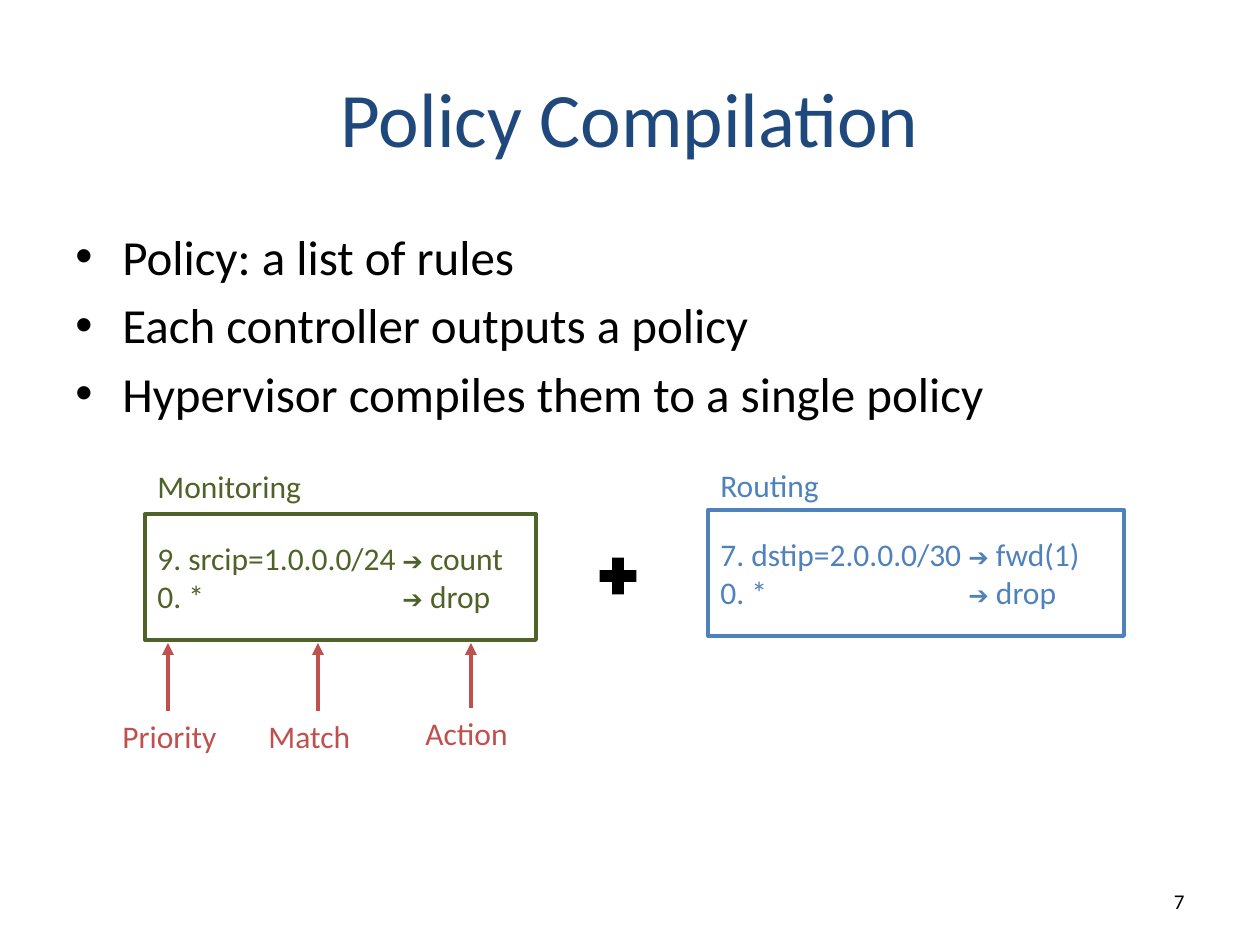
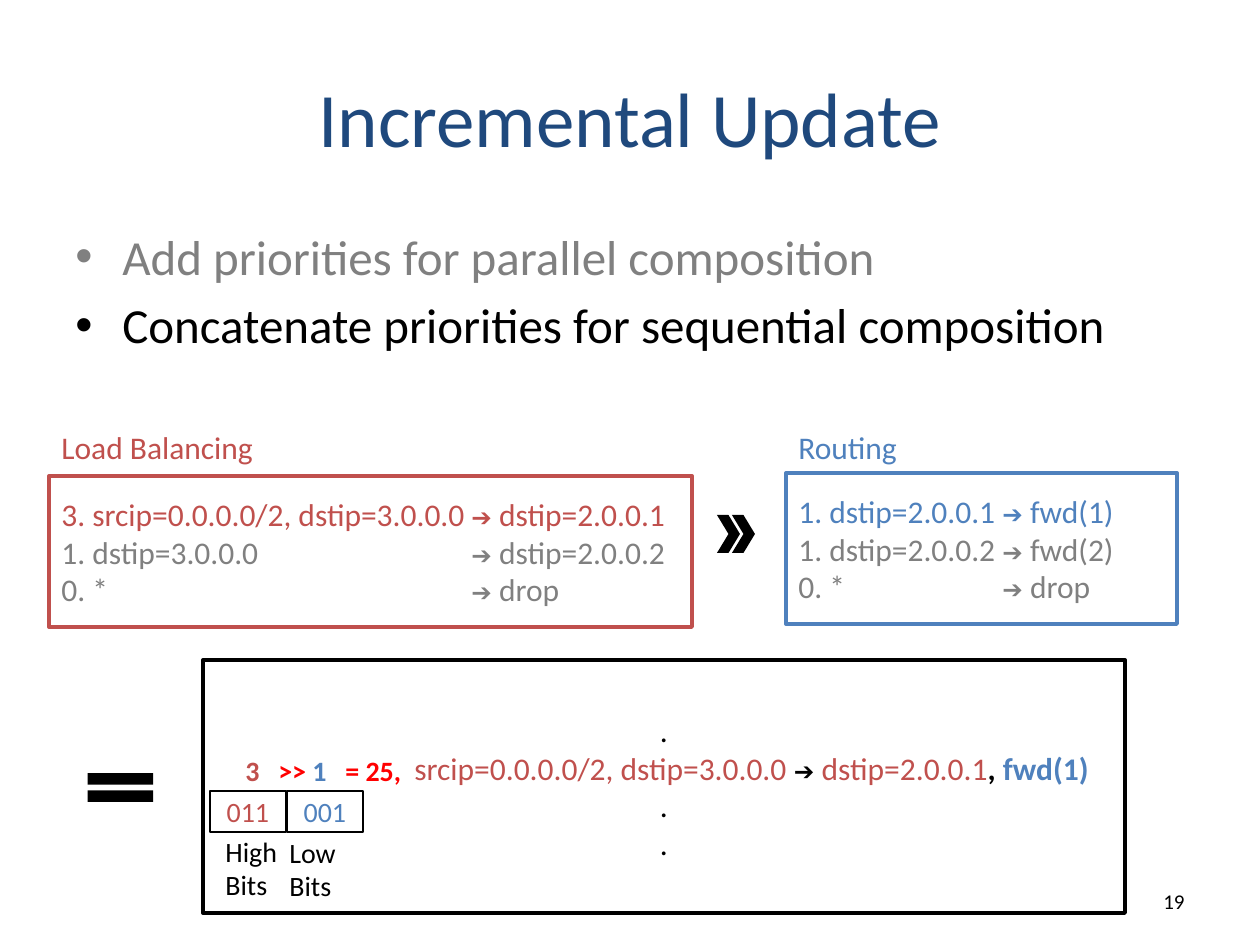
from lxml.etree import SubElement
from pptx import Presentation
from pptx.dml.color import RGBColor
from pptx.enum.shapes import MSO_CONNECTOR, MSO_SHAPE
from pptx.enum.text import MSO_ANCHOR, PP_ALIGN
from pptx.oxml.ns import qn
from pptx.util import Inches, Pt

PX = Inches(1) / 126
FONT, SYMBOL_FONT = "Calibri", "Arial"
ARROW = "➔"

NAVY = RGBColor(0x1F, 0x49, 0x7D)
BLUE = RGBColor(0x4F, 0x81, 0xBD)
GREEN = RGBColor(0x4F, 0x62, 0x28)
BRICK = RGBColor(0xC0, 0x50, 0x4D)
RED = RGBColor(0xFF, 0, 0)
GRAY = RGBColor(0x80, 0x80, 0x80)
BLACK = RGBColor(0, 0, 0)
WHITE = RGBColor(0xFF, 0xFF, 0xFF)

TITLE_AREA = (63, 38, 1134, 157)
BULLET_AREA = (63, 220, 1134, 624)
NUMBER_AREA = (903, 876, 294, 50)
BULLET_INDENT = 47

COMPILATION = {
    "title": "Policy Compilation",
    "number": "7",
    "bullets": [
        ("Policy: a list of rules", BLACK),
        ("Each controller outputs a policy", BLACK),
        ("Hypervisor compiles them to a single policy", BLACK),
    ],
    "policies": [
        {"name": "Monitoring", "colour": GREEN, "area": (145, 514, 391, 126),
         "label_top": 461, "action_tab": 245,
         "rules": [("9. srcip=1.0.0.0/24", "count", GREEN), ("0. *", "drop", GREEN)]},
        {"name": "Routing", "colour": BLUE, "area": (708, 510, 416, 126),
         "label_top": 460, "action_tab": 248,
         "rules": [("7. dstip=2.0.0.0/30", "fwd(1)", BLUE), ("0. *", "drop", BLUE)]},
    ],
    "operators": [(MSO_SHAPE.MATH_PLUS, (593, 551, 50, 50))],
}

UPDATE = {
    "title": "Incremental Update",
    "number": "19",
    "bullets": [
        ("Add priorities for parallel composition", GRAY),
        ("Concatenate priorities for sequential composition", BLACK),
    ],
    "policies": [
        {"name": "Load Balancing", "colour": BRICK, "area": (49, 476, 643, 151),
         "label_top": 422, "action_tab": 410,
         "rules": [("3. srcip=0.0.0.0/2, dstip=3.0.0.0", "dstip=2.0.0.1", BRICK),
                   ("1. dstip=3.0.0.0", "dstip=2.0.0.2", GRAY),
                   ("0. *", "drop", GRAY)]},
        {"name": "Routing", "colour": BLUE, "area": (786, 473, 391, 151),
         "label_top": 422, "action_tab": 204,
         "rules": [("1. dstip=2.0.0.1", "fwd(1)", BLUE),
                   ("1. dstip=2.0.0.2", "fwd(2)", GRAY),
                   ("0. *", "drop", GRAY)]},
    ],
    "operators": [
        (MSO_SHAPE.CHEVRON, (717, 515, 23, 38)),
        (MSO_SHAPE.CHEVRON, (732, 515, 23, 38)),
        (MSO_SHAPE.MATH_EQUAL, (76, 763, 89, 49)),
    ],
}

RULE_PARTS = [("Priority", 110, 711, 168), ("Match", 256, 711, 318), ("Action", 413, 708, 471)]
RULE_PART_WIDTH = 122
POINTER_TIP = 643

RESULT_AREA = (203, 660, 922, 253)
RESULT_INDENT = 199
RESULT_RULE = [
    ("srcip=0.0.0.0/2, dstip=3.0.0.0 ", BRICK, False),
    (ARROW, BLACK, False),
    (" dstip=2.0.0.1", BRICK, False),
    (", ", BLACK, True),
    ("fwd(1)", BLUE, True),
]
SUM_AREA = (233, 747, 192, 47)
SUM_TABS = (33, 67, 100)
PRIORITY_SUM = [("3\t", BRICK, True), (">>\t", RED, True), ("1\t", BLUE, True), ("= 25,", RED, True)]
BIT_LEFT, BIT_TOP, BIT_WIDTH, BIT_HEIGHT = 210, 791, 76, 41
BITS = [("011", BRICK, "High", 213, 828), ("001", BLUE, "Low", 277, 829)]


def px(*lengths):
    return [round(length * PX) for length in lengths]


def style(font, size=None, colour=None, bold=None, name=FONT):
    font.name = name
    if size:
        font.size = Pt(size)
    if colour is not None:
        font.color.rgb = colour
    if bold is not None:
        font.bold = bold


def set_tabs(para, stops):
    tab_list = SubElement(para._p.get_or_add_pPr(), qn("a:tabLst"))
    for stop in px(*stops):
        SubElement(tab_list, qn("a:tab"), pos=str(stop), algn="l")


def indent(para, left, first=0):
    properties = para._p.get_or_add_pPr()
    for name, length in zip(("marL", "indent"), px(left, first)):
        properties.set(name, str(length))
    return properties


def next_para(frame):
    return frame.paragraphs[0] if not frame.paragraphs[0].runs else frame.add_paragraph()


def write(frame, text, size, colour, align=PP_ALIGN.LEFT):
    para = next_para(frame)
    para.add_run().text = text
    para.alignment = align
    style(para.font, size, colour)
    return para


def write_spans(frame, spans, size, tabs=(), left=0):
    para = next_para(frame)
    para.alignment = PP_ALIGN.LEFT
    if left:
        indent(para, left)
    if tabs:
        set_tabs(para, tabs)
    style(para.font, size)
    for text, colour, bold in spans:
        span = para.add_run()
        span.text = text
        if text == ARROW:
            style(span.font, 14, colour, bold, SYMBOL_FONT)
        else:
            style(span.font, None, colour, bold)


def add_text_frame(page, area, anchor=MSO_ANCHOR.TOP):
    frame = page.shapes.add_textbox(*px(*area)).text_frame
    frame.word_wrap = True
    frame.vertical_anchor = anchor
    return frame


def add_box(page, area, line=None, fill=None, width=2.25, kind=MSO_SHAPE.RECTANGLE):
    box = page.shapes.add_shape(kind, *px(*area))
    box.shadow.inherit = False
    if fill is None:
        box.fill.background()
    else:
        box.fill.solid()
        box.fill.fore_color.rgb = fill
    if line is None:
        box.line.fill.background()
    else:
        box.line.color.rgb = line
        box.line.width = Pt(width)
    box.text_frame.vertical_anchor = MSO_ANCHOR.MIDDLE
    return box.text_frame


def add_pointer(page, x, start, end):
    pointer = page.shapes.add_connector(MSO_CONNECTOR.STRAIGHT, *px(x, start, x, end))
    pointer.line.color.rgb = BRICK
    pointer.line.width = Pt(2.25)
    SubElement(pointer.line._get_or_add_ln(), qn("a:tailEnd"), type="triangle")
    SubElement(pointer._element.spPr, qn("a:effectLst"))


def add_policy(page, policy):
    left, _, width, _ = policy["area"]
    frame = add_box(page, policy["area"], policy["colour"], WHITE)
    for match, action, colour in policy["rules"]:
        spans = [(match + "\t", colour, None), (ARROW, colour, None), (" " + action, colour, None)]
        write_spans(frame, spans, 18, [policy["action_tab"]])
    label = add_text_frame(page, (left, policy["label_top"], width, 50))
    write(label, policy["name"], 18, policy["colour"])


def add_page(deck, content):
    page = deck.slides.add_slide(deck.slide_layouts[5])
    title = page.shapes.title
    title.left, title.top, title.width, title.height = px(*TITLE_AREA)
    title.text_frame.vertical_anchor = MSO_ANCHOR.MIDDLE
    write(title.text_frame, content["title"], 44, NAVY, PP_ALIGN.CENTER)
    bullets = add_text_frame(page, BULLET_AREA)
    for text, colour in content["bullets"]:
        para = write(bullets, text, 28, colour)
        properties = indent(para, BULLET_INDENT, -BULLET_INDENT)
        para.space_before = Pt(5.6)
        mark_font = SubElement(properties, qn("a:buFont"), typeface=SYMBOL_FONT)
        mark = SubElement(properties, qn("a:buChar"), char="•")
        properties.find(qn("a:defRPr")).addprevious(mark_font)
        mark_font.addnext(mark)
    number = add_text_frame(page, NUMBER_AREA, MSO_ANCHOR.MIDDLE)
    write(number, content["number"], 12, BLACK, PP_ALIGN.RIGHT)
    for policy in content["policies"]:
        add_policy(page, policy)
    for kind, area in content["operators"]:
        add_box(page, area, fill=BLACK, kind=kind)
    return page


def add_rule_parts(page):
    for name, left, top, pointer_x in RULE_PARTS:
        write(add_text_frame(page, (left, top, RULE_PART_WIDTH, 50)), name, 18, BRICK)
        add_pointer(page, pointer_x, top, POINTER_TIP)


def add_result(page):
    result = add_box(page, RESULT_AREA, BLACK, WHITE)
    write(result, ".", 18, BLACK, PP_ALIGN.CENTER)
    write_spans(result, RESULT_RULE, 18, left=RESULT_INDENT)
    for _ in range(2):
        write(result, ".", 18, BLACK, PP_ALIGN.CENTER)
    write_spans(add_text_frame(page, SUM_AREA), PRIORITY_SUM, 16, SUM_TABS)
    for index, (bits, colour, rank, left, top) in enumerate(BITS):
        area = (BIT_LEFT + index * (BIT_WIDTH + 1), BIT_TOP, BIT_WIDTH, BIT_HEIGHT)
        write(add_box(page, area, BLACK, width=0.75), bits, 16, colour, PP_ALIGN.CENTER)
        caption = add_text_frame(page, (left, top, 121, 81))
        for word in (rank, "Bits"):
            write(caption, word, 16, BLACK)


def main():
    deck = Presentation()
    deck.slide_width, deck.slide_height = Inches(10), Inches(7.5)
    add_rule_parts(add_page(deck, COMPILATION))
    add_result(add_page(deck, UPDATE))
    deck.save("out.pptx")


if __name__ == "__main__":
    main()
